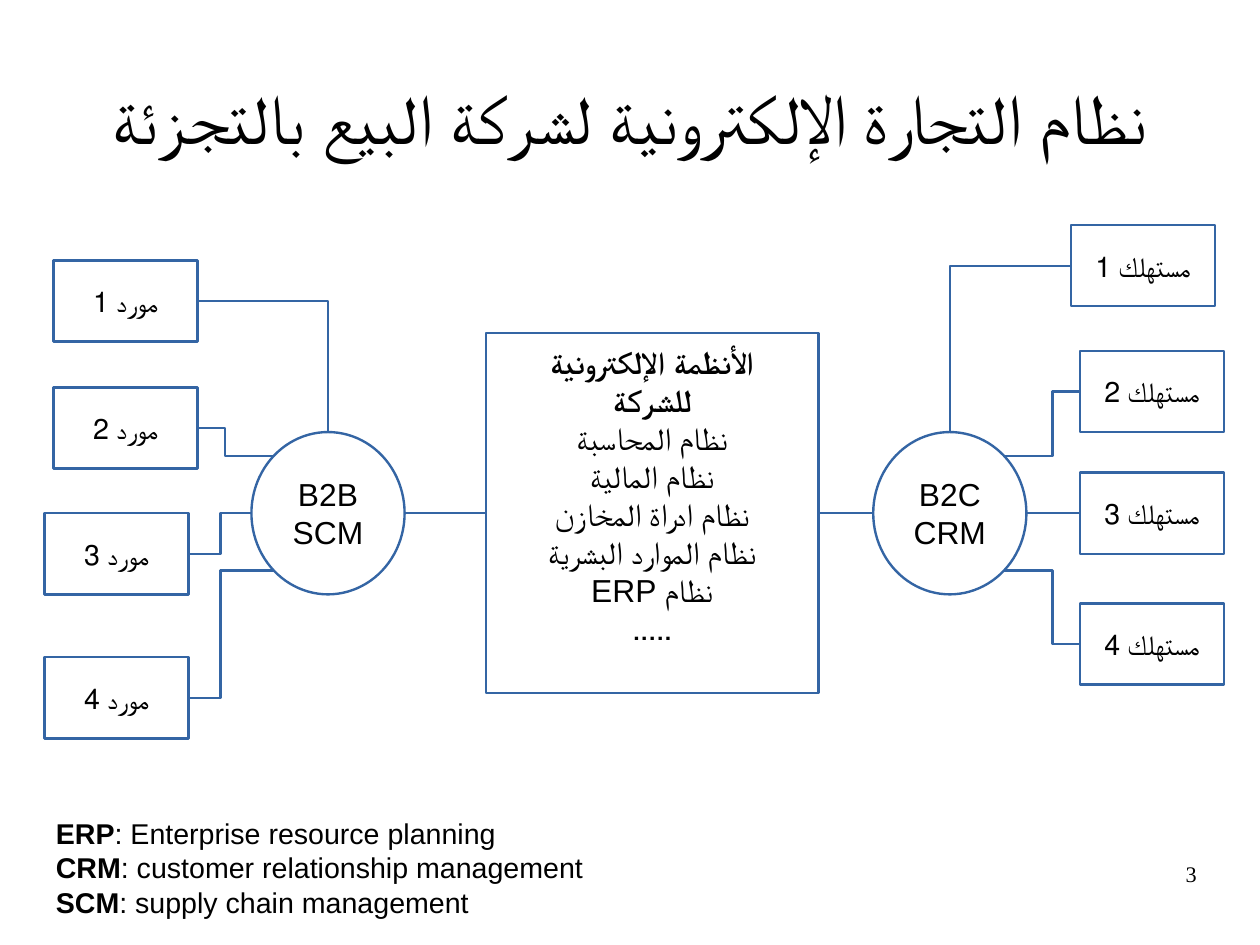
from lxml import etree
from pptx import Presentation
from pptx.dml.color import RGBColor
from pptx.enum.shapes import MSO_CONNECTOR, MSO_SHAPE
from pptx.enum.text import MSO_ANCHOR, PP_ALIGN
from pptx.oxml.ns import qn
from pptx.util import Inches, Pt

BLUE, WHITE, BLACK = "3465A4", "FFFFFF", "000000"
SLIDE_W, SLIDE_H = 28 / 2.54, 21 / 2.54
PARTNER_W, PARTNER_H = 1.26, 0.71
HUB_W, HUB_H = 1.34, 1.42
COMPANY_W, COMPANY_H = 2.91, 3.15
AXIS_Y = 4.49
DIAGONAL = 0.5 ** 0.5


def color(value):
    """Turn a hex string into a colour."""
    return RGBColor.from_string(value)


def set_margins(frame, horizontal, vertical):
    """Set the inner margins of a text frame."""
    frame.margin_left = frame.margin_right = Inches(horizontal)
    frame.margin_top = frame.margin_bottom = Inches(vertical)


def style_paragraph(paragraph, size, align, rtl=True, bold=False, face="Arial"):
    """Set alignment, direction and font of a paragraph."""
    paragraph.alignment = align
    font = paragraph.font
    font.name, font.size, font.bold = face, Pt(size), bold
    font.color.rgb = color(BLACK)
    if rtl:
        paragraph._p.get_or_add_pPr().set("rtl", "1")


def add_text(slide, box):
    """Add a wrapping text box and return its frame."""
    frame = slide.shapes.add_textbox(*map(Inches, box)).text_frame
    frame.word_wrap = True
    return frame


def add_node(slide, kind, box, lines, size, bold_lines=0):
    """Add an outlined shape with centred lines of text."""
    node = slide.shapes.add_shape(kind, *map(Inches, box))
    node.shadow.inherit = False
    node.fill.solid()
    node.fill.fore_color.rgb = color(WHITE)
    node.line.color.rgb = color(BLUE)
    node.line.width = Pt(1.5)
    frame = node.text_frame
    frame.word_wrap = False
    frame.vertical_anchor = MSO_ANCHOR.MIDDLE
    set_margins(frame, 0.11, 0.06)
    frame.text = "\n".join(lines)
    for index, paragraph in enumerate(frame.paragraphs):
        style_paragraph(paragraph, size, PP_ALIGN.CENTER, bold=index < bold_lines)
    return node


def add_link(slide, start, end, kind=MSO_CONNECTOR.STRAIGHT):
    """Add a blue connector between two points."""
    link = slide.shapes.add_connector(kind, *map(Inches, (*start, *end)))
    link.line.color.rgb = color(BLUE)
    link.line.width = Pt(1.5)
    etree.SubElement(link._element.spPr, qn("a:effectLst"))
    return link


def add_elbow(slide, start, end, bend_x=None):
    """Add a bent connector that turns at bend_x, or once above its end."""
    link = add_link(slide, start, end, MSO_CONNECTOR.ELBOW)
    geometry = link._element.spPr.find(qn("a:prstGeom"))
    if bend_x is None:
        geometry.set("prst", "bentConnector2")
        return
    guides = geometry.find(qn("a:avLst"))
    if guides is None:
        guides = etree.SubElement(geometry, qn("a:avLst"))
    share = round((bend_x - start[0]) / (end[0] - start[0]) * 100000)
    etree.SubElement(guides, qn("a:gd"), name="adj1", fmla=f"val {share}")


def add_title(slide, box):
    """Add the centred title."""
    frame = add_text(slide, box)
    set_margins(frame, 0, 0)
    frame.vertical_anchor = MSO_ANCHOR.MIDDLE
    frame.text = "نظام التجارة الإلكترونية لشركة البيع بالتجزئة"
    style_paragraph(frame.paragraphs[0], 44, PP_ALIGN.CENTER)


def add_company(slide, box):
    """Add the central list of company systems."""
    lines = ["الأنظمة الإلكترونية", "للشركة", "نظام المحاسبة", "نظام المالية",
             "نظام ادراة المخازن", "نظام الموارد البشرية", "نظام ERP", "....."]
    company = add_node(slide, MSO_SHAPE.RECTANGLE, box, lines, 20, bold_lines=2)
    company.text_frame.vertical_anchor = MSO_ANCHOR.TOP
    company.text_frame.margin_top = Inches(0.08)
    return company


def add_channel(slide, hub_left, hub_lines, partner, places, bends, side, company):
    """Add a hub, its partners and links; side is 1 right or -1 left of the company."""
    center_x = hub_left + HUB_W / 2
    hub_box = (hub_left, AXIS_Y - HUB_H / 2, HUB_W, HUB_H)
    add_node(slide, MSO_SHAPE.OVAL, hub_box, hub_lines, 20)
    diagonal_x = center_x + side * DIAGONAL * HUB_W / 2
    diagonal_y = DIAGONAL * HUB_H / 2
    ports = [(center_x, AXIS_Y - HUB_H / 2), (diagonal_x, AXIS_Y - diagonal_y),
             (center_x + side * HUB_W / 2, AXIS_Y), (diagonal_x, AXIS_Y + diagonal_y)]
    inner_site, outer_site = (3, 1) if side > 0 else (1, 3)
    inner = (center_x - side * HUB_W / 2, AXIS_Y)
    add_link(slide, inner, inner).begin_connect(company, inner_site)
    for number, ((left, top), port, bend) in enumerate(zip(places, ports, bends), 1):
        node = add_node(slide, MSO_SHAPE.RECTANGLE, (left, top, PARTNER_W, PARTNER_H),
                        [f"{partner} {number}"], 18)
        edge = (left if side > 0 else left + PARTNER_W, top + PARTNER_H / 2)
        if bend == "straight":
            add_link(slide, port, edge).end_connect(node, outer_site)
        else:
            add_elbow(slide, edge, port, bend)


def add_legend(slide, box):
    """Add the list of abbreviations."""
    terms = [("ERP", "Enterprise resource planning"),
             ("CRM", "customer relationship management"),
             ("SCM", "supply chain management")]
    frame = add_text(slide, box)
    for index, (term, meaning) in enumerate(terms):
        paragraph = frame.add_paragraph() if index else frame.paragraphs[0]
        style_paragraph(paragraph, 18, PP_ALIGN.LEFT, rtl=False)
        for text, bold in ((term, True), (f": {meaning}", False)):
            run = paragraph.add_run()
            run.text, run.font.bold = text, bold


def add_page_number(slide, box):
    """Add the page number at the right."""
    frame = add_text(slide, box)
    set_margins(frame, 0, 0)
    frame.text = "3"
    style_paragraph(frame.paragraphs[0], 14, PP_ALIGN.RIGHT, rtl=False,
                    face="Times New Roman")


def main():
    """Build and save the slide."""
    deck = Presentation()
    deck.slide_width, deck.slide_height = Inches(SLIDE_W), Inches(SLIDE_H)
    slide = deck.slides.add_slide(deck.slide_layouts[6])
    add_title(slide, (0.55, 0.28, 9.92, 1.48))
    company = add_company(slide, (4.25, AXIS_Y - COMPANY_H / 2, COMPANY_W, COMPANY_H))
    add_channel(slide, 7.64, ["B2C", "CRM"], "مستهلك",
                [(9.37, 1.97), (9.45, 3.07), (9.45, AXIS_Y - PARTNER_H / 2), (9.45, 5.28)],
                [None, 9.21, "straight", 9.21], 1, company)
    add_channel(slide, 2.2, ["B2B", "SCM"], "مورد",
                [(0.47, 2.28), (0.47, 3.39), (0.39, 4.49), (0.39, 5.75)],
                [None, 1.97, 1.93, 1.93], -1, company)
    add_legend(slide, (0.39, 7.09, 5.91, 1.1))
    add_page_number(slide, (7.9, 7.53, 2.57, 0.57))
    deck.save("out.pptx")


if __name__ == "__main__":
    main()
